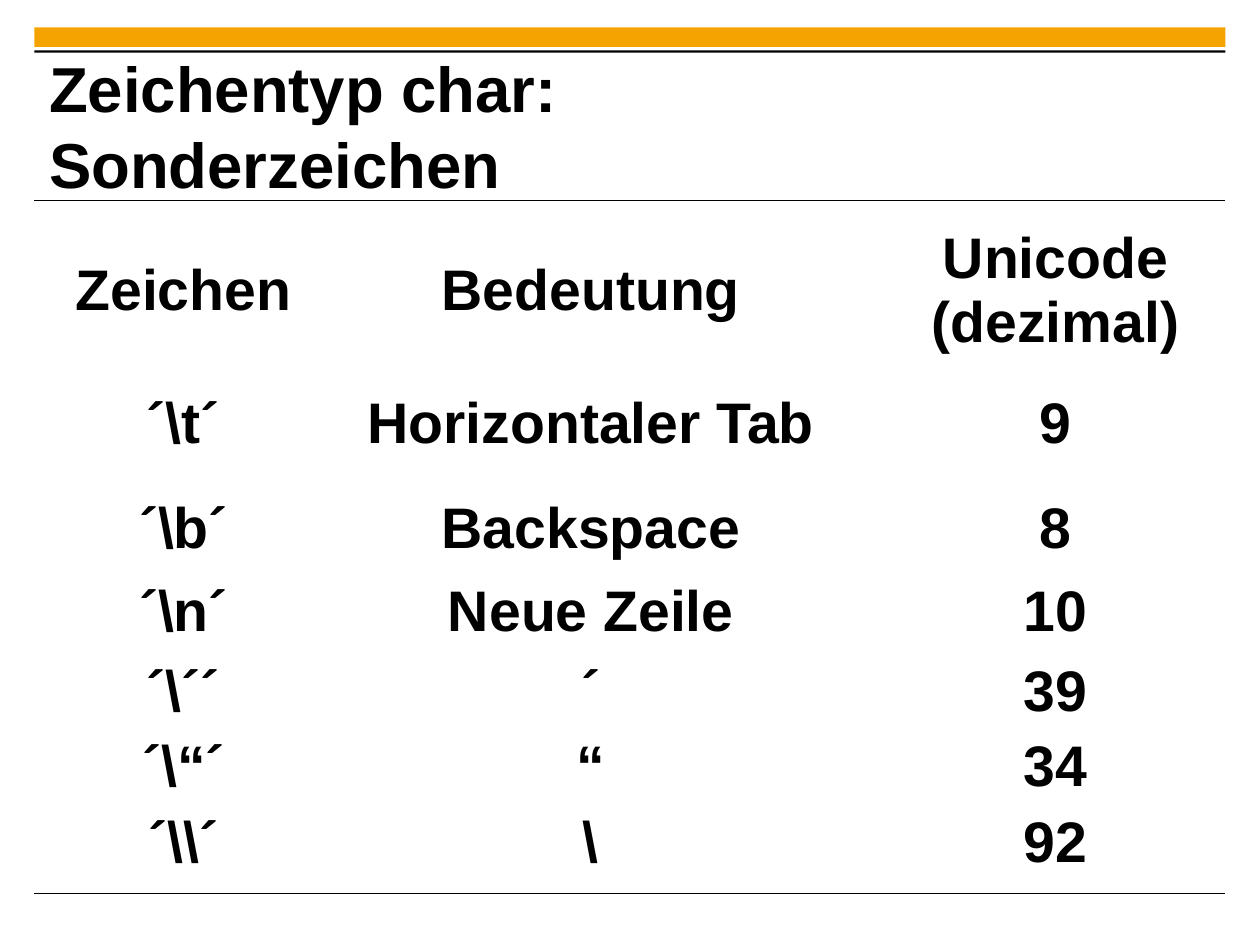
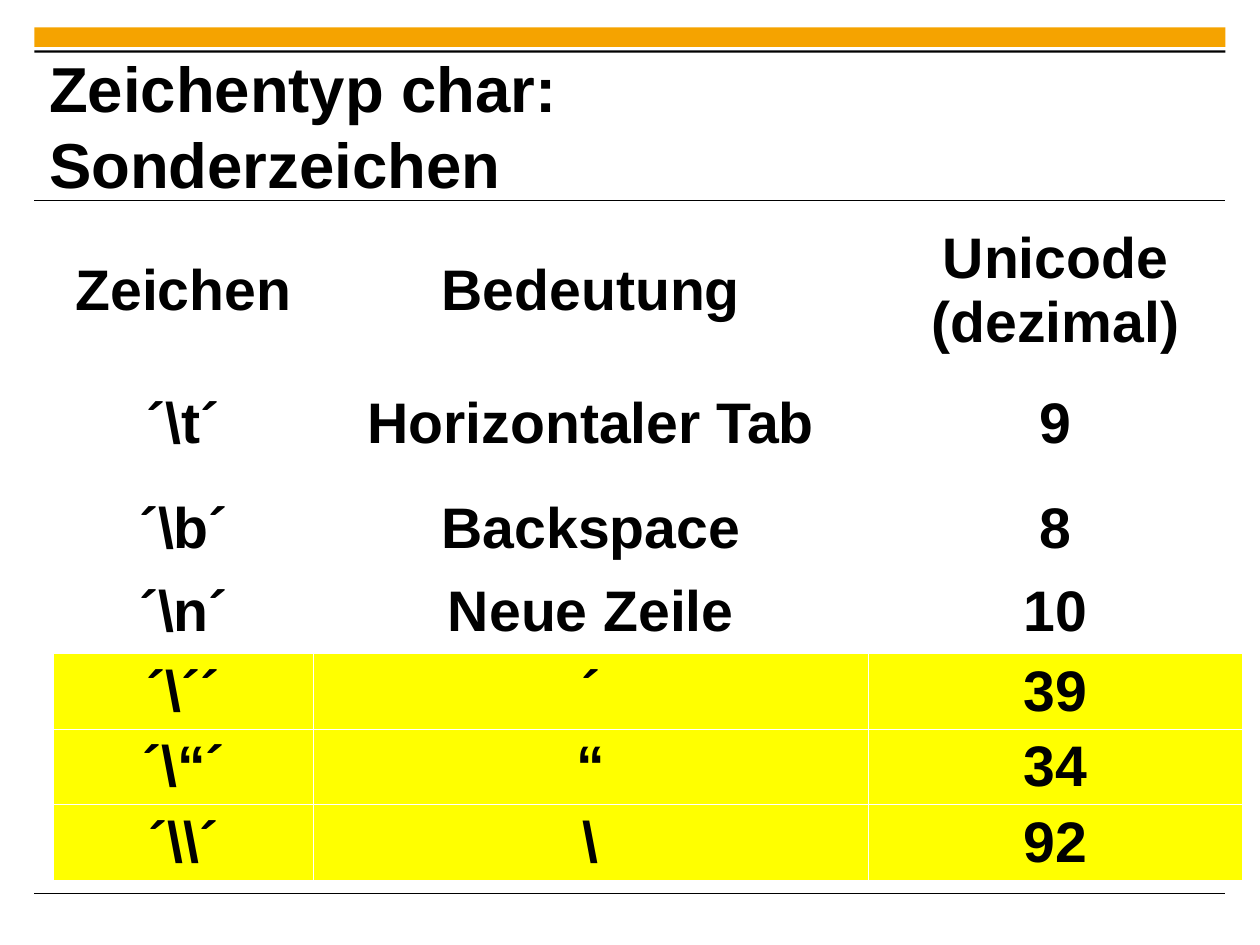
from dataclasses import dataclass

from lxml import etree
from pptx import Presentation
from pptx.dml.color import RGBColor
from pptx.enum.shapes import MSO_CONNECTOR, MSO_SHAPE
from pptx.enum.text import MSO_ANCHOR, MSO_AUTO_SIZE, PP_ALIGN
from pptx.oxml.ns import qn
from pptx.util import Cm, Inches, Pt

RECT = MSO_SHAPE.RECTANGLE
STRAIGHT = MSO_CONNECTOR.STRAIGHT
MIDDLE = MSO_ANCHOR.MIDDLE
LEFT, CENTER = PP_ALIGN.LEFT, PP_ALIGN.CENTER
NO_FIT = MSO_AUTO_SIZE.NONE

COLORS = {
    "accent": "F5A300",
    "ink": "000000",
    "paper": "FFFFFF",
    "highlight": "FFFF00",
}
FONT = "Arial"

# Shared frame: page edges, bands and rules
PAGE_LEFT, PAGE_WIDTH = 0.3, 10.42
RULE_TOPS = (1.75, 7.82)
TITLE_ONLY = 5

# Table of special characters
COL_WIDTHS = (2.27, 4.86, 3.27)
ROW_HEIGHTS = (1.23, 1.1, 0.73, 0.73, 0.62, 0.62, 0.62)
THIN, THICK = 0.45, 1.47
ROWS = (
    ("Zeichen", "Bedeutung", "Unicode (dezimal)"),
    ("´\\t´", "Horizontaler Tab", "9"),
    ("´\\b´", "Backspace", "8"),
    ("´\\n´", "Neue Zeile", "10"),
    ("´\\´´", "´", "39"),
    ("´\\“´", "“", "34"),
    ("´\\\\´", "\\", "92"),
)


@dataclass(frozen=True)
class Band:
    top: float
    height: float
    color: str


@dataclass(frozen=True)
class SlideContent:
    title: str
    highlighted: tuple[int, ...] = ()


BANDS = (Band(0.24, 0.17, "accent"), Band(0.44, 0.02, "ink"))
SLIDES = (
    SlideContent("Zeichentyp char: Sonderzeichen"),
    SlideContent("Zeichentyp char: Sonderzeichen", highlighted=(4, 5, 6)),
)


def rgb(name: str) -> RGBColor:
    return RGBColor.from_string(COLORS[name])


def style_paragraph(p, size: float, align) -> None:
    p.alignment = align
    p.font.name = FONT
    p.font.size = Pt(size)
    p.font.bold = True
    p.font.color.rgb = rgb("ink")


def add_frame(s) -> None:
    for band in BANDS:
        sp = s.shapes.add_shape(RECT, Inches(PAGE_LEFT), Inches(band.top),
                                Inches(PAGE_WIDTH), Inches(band.height))
        sp.shadow.inherit = False
        sp.fill.solid()
        sp.fill.fore_color.rgb = rgb(band.color)
        sp.line.fill.background()
    for top in RULE_TOPS:
        rule = s.shapes.add_connector(
            STRAIGHT, Inches(PAGE_LEFT), Inches(top),
            Inches(PAGE_LEFT + PAGE_WIDTH), Inches(top))
        rule.line.color.rgb = rgb("ink")
        rule.line.width = Pt(0.6)
        etree.SubElement(rule._element.spPr, qn("a:effectLst"))


def set_title(s, text: str) -> None:
    sp = s.shapes.title
    sp.left, sp.top = Inches(0.43), Inches(0.59)
    sp.width, sp.height = Inches(8.29), Inches(1.01)
    tf = sp.text_frame
    tf.text = text
    tf.word_wrap = True
    tf.auto_size = NO_FIT
    tf.vertical_anchor = MIDDLE
    tf.margin_left = tf.margin_top = tf.margin_right = tf.margin_bottom = 0
    style_paragraph(tf.paragraphs[0], 40, LEFT)


def set_borders(cell, top: float, bottom: float) -> None:
    tc_pr = cell._tc.get_or_add_tcPr()
    widths = {"lnL": THIN, "lnR": THIN, "lnT": top, "lnB": bottom}
    for side, width in widths.items():
        ln = etree.SubElement(tc_pr, qn(f"a:{side}"), w=str(Pt(width)))
        fill = etree.SubElement(ln, qn("a:solidFill"))
        etree.SubElement(fill, qn("a:srgbClr"), val=COLORS["paper"])


def add_character_table(s, highlighted: tuple[int, ...]) -> None:
    table = s.shapes.add_table(
        len(ROWS), len(COL_WIDTHS), Inches(0.47), Inches(1.93),
        Inches(sum(COL_WIDTHS)), Inches(sum(ROW_HEIGHTS))).table
    table.first_row = table.horz_banding = False
    for column, width in zip(table.columns, COL_WIDTHS):
        column.width = Inches(width)
    for i, (row, height, texts) in enumerate(zip(table.rows, ROW_HEIGHTS, ROWS)):
        row.height = Inches(height)
        for cell, text in zip(row.cells, texts):
            cell.text = text
            cell.vertical_anchor = MIDDLE
            style_paragraph(cell.text_frame.paragraphs[0], 36, CENTER)
            # The heavier line separates the header from the body
            set_borders(cell, top=THICK if i == 1 else THIN,
                        bottom=THICK if i == 0 else THIN)
            cell.fill.solid()
            cell.fill.fore_color.rgb = rgb(
                "highlight" if i in highlighted else "paper")


def main() -> None:
    prs = Presentation()
    # The 4:3 page is metric
    prs.slide_width, prs.slide_height = Cm(28), Cm(21)
    for content in SLIDES:
        s = prs.slides.add_slide(prs.slide_layouts[TITLE_ONLY])
        add_frame(s)
        set_title(s, content.title)
        add_character_table(s, content.highlighted)
    prs.save("out.pptx")


if __name__ == "__main__":
    main()
